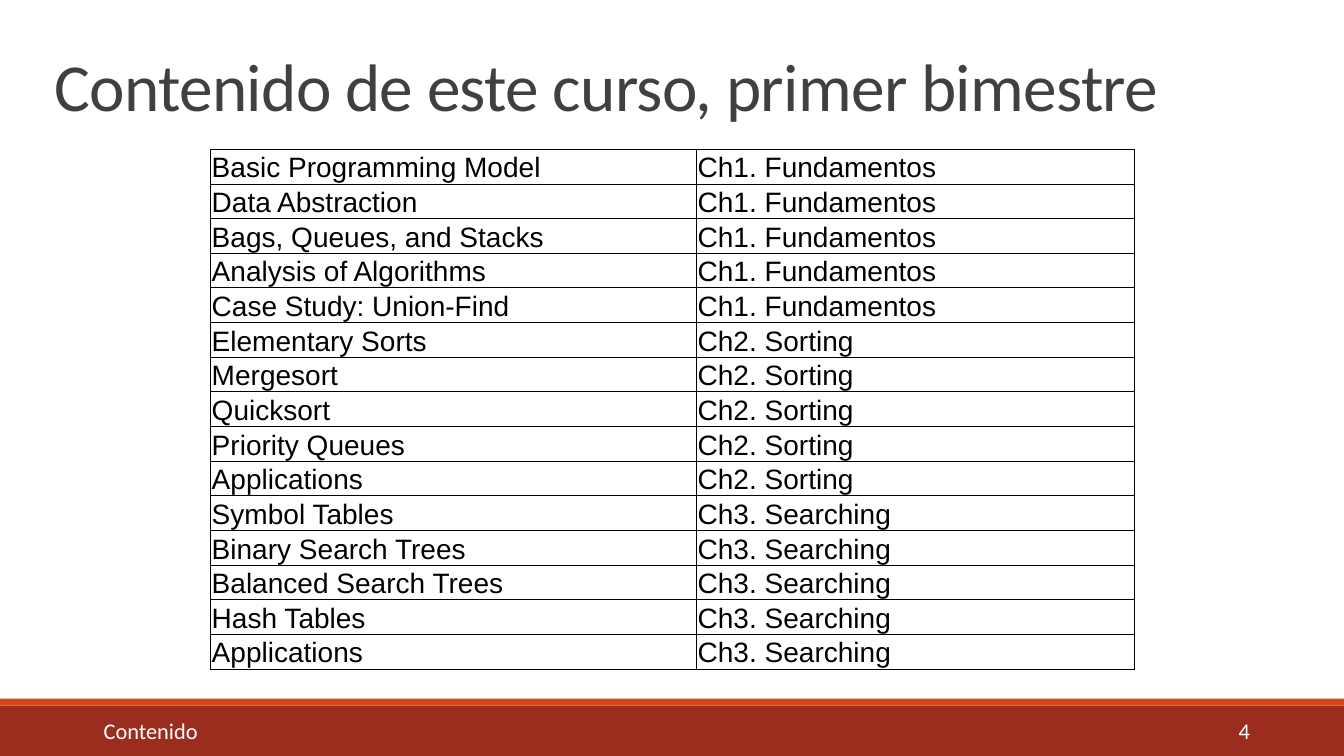
from lxml.etree import SubElement
from pptx import Presentation
from pptx.dml.color import RGBColor
from pptx.enum.shapes import MSO_SHAPE
from pptx.enum.text import MSO_ANCHOR, MSO_AUTO_SIZE, PP_ALIGN
from pptx.oxml.ns import qn
from pptx.util import Inches, Pt

WIDE, HIGH = Inches(13.33), Inches(7.5)
CHAPTERS = {
    "Ch1. Fundamentos": ["Basic Programming Model", "Data Abstraction",
                         "Bags, Queues, and Stacks", "Analysis of Algorithms",
                         "Case Study: Union-Find"],
    "Ch2. Sorting": ["Elementary Sorts", "Mergesort", "Quicksort",
                     "Priority Queues", "Applications"],
    "Ch3. Searching": ["Symbol Tables", "Binary Search Trees",
                       "Balanced Search Trees", "Hash Tables", "Applications"],
}


def assign(item, values):
    """Set every attribute named in a dict of format values."""
    for name, value in values.items():
        setattr(item, name, value)


def style(para, face, size, color):
    """Set the font name, size and hex colour of a paragraph's runs."""
    for run in para.runs:
        assign(run.font, {"name": face, "size": Pt(size), "bold": False})
        run.font.color.rgb = RGBColor.from_string(color)


deck = Presentation()
assign(deck, {"slide_width": WIDE, "slide_height": HIGH})
slide = deck.slides.add_slide(deck.slide_layouts[5])

# Footer bands: top and height as shares of the slide height
for top, share, color in [(14 / 15, 1 / 15, "9B2D1F"), (0.924, 0.0093, "D34817")]:
    band = slide.shapes.add_shape(MSO_SHAPE.RECTANGLE, 0, int(HIGH * top),
                                  WIDE, int(HIGH * share))
    band.shadow.inherit = False
    band.fill.solid()
    band.fill.fore_color.rgb = RGBColor.from_string(color)
    band.line.fill.background()

# Footer text: a right tab stop carries the page number
foot = slide.shapes.add_textbox(Inches(0.93), Inches(7.07), Inches(11.66), Inches(0.35))
assign(foot.text_frame, {"word_wrap": True, "vertical_anchor": MSO_ANCHOR.MIDDLE,
                         "text": "Contenido\t4"})
para = foot.text_frame.paragraphs[0]
style(para, "Calibri", 16, "FFFFFF")
tabs = SubElement(para._p.get_or_add_pPr(), qn("a:tabLst"))
SubElement(tabs, qn("a:tab"), pos=str(Inches(11.37)), algn="r")

# Title
title = slide.shapes.title
assign(title, {"left": Inches(0.44), "top": Inches(0.49),
               "width": Inches(12.06), "height": Inches(0.8)})
assign(title.text_frame, {"text": "Contenido de este curso, primer bimestre",
                          "word_wrap": True, "auto_size": MSO_AUTO_SIZE.NONE,
                          "vertical_anchor": MSO_ANCHOR.BOTTOM})
para = title.text_frame.paragraphs[0]
assign(para, {"alignment": PP_ALIGN.LEFT, "line_spacing": 0.85})
style(para, "Calibri", 48, "404040")
para.runs[0].font._element.set("spc", "-50")

# Table of topics and their chapters
rows = [(topic, name) for name, topics in CHAPTERS.items() for topic in topics]
widths, step = [Inches(4.82), Inches(4.34)], Inches(0.32)
table = slide.shapes.add_table(len(rows), len(widths), Inches(2.09), Inches(1.48),
                               sum(widths), step * len(rows)).table
assign(table, {"first_row": False, "horz_banding": False})
for col, width in zip(table.columns, widths):
    col.width = width

inset = Inches(0.01)
layout = {"margin_left": inset, "margin_right": inset, "margin_top": inset,
          "margin_bottom": 0, "vertical_anchor": MSO_ANCHOR.BOTTOM}
for row, texts in zip(table.rows, rows):
    for cell, text in zip(row.cells, texts):
        assign(cell, {"text": text, **layout})
        style(cell.text_frame.paragraphs[0], "Arial", 20, "000000")
        props = cell._tc.get_or_add_tcPr()
        for side in "LRTB":
            edge = SubElement(props, qn("a:ln" + side), w=str(Pt(0.5)))
            fill = SubElement(edge, qn("a:solidFill"))
            SubElement(fill, qn("a:srgbClr"), val="000000")
        cell.fill.background()

deck.save("out.pptx")
